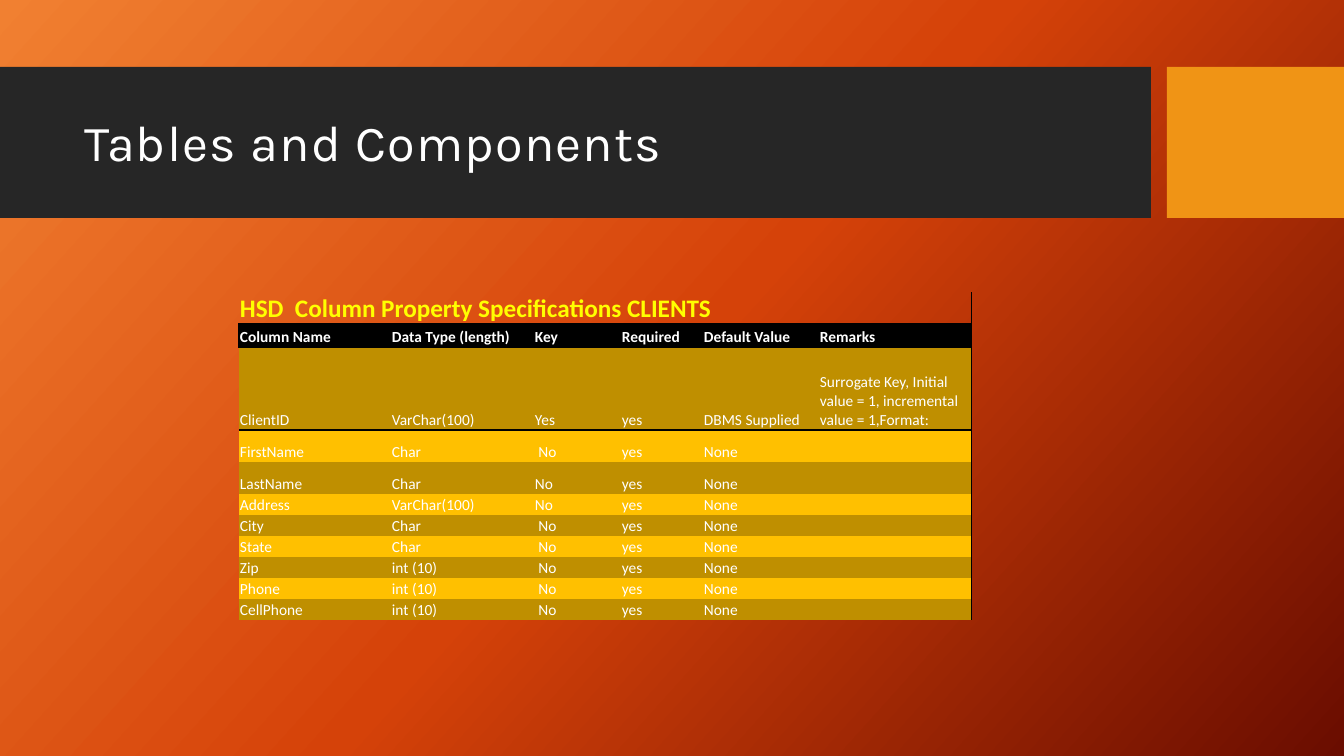
from copy import deepcopy

from lxml import etree
from pptx import Presentation
from pptx.dml.color import RGBColor
from pptx.enum.shapes import MSO_SHAPE
from pptx.enum.text import MSO_ANCHOR
from pptx.oxml.ns import qn
from pptx.util import Emu, Pt

RECTANGLE = MSO_SHAPE.RECTANGLE
MIDDLE, BOTTOM = MSO_ANCHOR.MIDDLE, MSO_ANCHOR.BOTTOM
EMU_PER_PX = 914400 / 100.8
NO_TABLE_STYLE = "{2D5ABB26-0587-4C30-8999-92F81FD0307C}"

COLORS = {
    "glow": "F18031", "flame": "D54209", "ember": "6A0D00",
    "band": "262626", "accent": "F09415", "text": "FFFFFF",
    "caption": "FFFF00", "heading": "000000", "border": "000000",
    "dark_row": "BF8F00", "light_row": "FFC000",
}
COLUMN_WIDTHS = [152, 143, 87, 82, 116, 152]
ROW_HEIGHTS = [32, 23, 83, 32, 32] + [21] * 6
CAPTION = "HSD  Column Property Specifications CLIENTS"
HEADINGS = ["Column Name", "Data Type (length)", "Key", "Required",
            "Default Value", "Remarks"]
CLIENT_FIELDS = [
    ["ClientID", "VarChar(100)", "Yes", "yes", "DBMS Supplied",
     "Surrogate Key, Initial value = 1, incremental value = 1,Format: "],
    ["FirstName", "Char", " No", "yes", "None", ""],
    ["LastName", "Char", "No", "yes", "None", ""],
    ["Address", "VarChar(100)", "No", "yes", "None", ""],
    ["City", "Char", " No", "yes", "None", ""],
    ["State", "Char", " No", "yes", "None", ""],
    ["Zip", "int (10)", " No", "yes", "None", ""],
    ["Phone", "int (10)", " No", "yes", "None", ""],
    ["CellPhone", "int (10)", " No", "yes", "None", ""],
]


def px(length):
    """Turn pixels into EMU."""
    return Emu(round(length * EMU_PER_PX))


def rgb(name):
    """Look up a named colour."""
    return RGBColor.from_string(COLORS[name])


def style_font(paragraph, face, size, color, bold=False):
    """Set the font of a whole paragraph."""
    font = paragraph.font
    font.name, font.size, font.bold = face, Pt(size), bold
    font.color.rgb = rgb(color)


def paint_background(slide):
    """Fill the slide with a diagonal three-colour gradient."""
    fill = slide.background.fill
    fill.gradient()
    fill.gradient_angle = 360 - 42
    stop_list = next(slide.element.iter(qn("a:gsLst")))
    stop_list.append(deepcopy(stop_list[0]))
    names = ["glow", "flame", "ember"]
    for index, (stop, name) in enumerate(zip(fill.gradient_stops, names)):
        stop.position = index / 2
        stop.color.rgb = rgb(name)


def add_block(slide, left, top, width, height, color):
    """Add a plain filled rectangle."""
    block = slide.shapes.add_shape(
        RECTANGLE, px(left), px(top), px(width), px(height))
    block.shadow.inherit = False
    block.fill.solid()
    block.fill.fore_color.rgb = rgb(color)
    block.line.fill.background()


def add_header(slide, left, top, width, height, title):
    """Add the title band with its accent block at the right."""
    accent_width, gap = 177, 16
    band_width = width - accent_width - gap
    add_block(slide, left, top, band_width, height, "band")
    add_block(slide, left + width - accent_width, top, accent_width, height,
              "accent")
    heading = slide.shapes.add_textbox(
        px(left + 75), px(top + 15), px(band_width - 91), px(119))
    frame = heading.text_frame
    frame.word_wrap = True
    frame.vertical_anchor = MIDDLE
    paragraph = frame.paragraphs[0]
    paragraph.text = title
    style_font(paragraph, "Karla", 36, "text")
    paragraph.runs[0]._r.get_or_add_rPr().set("spc", "90")


def set_borders(cell, widths):
    """Draw cell borders, given as side letter and width in points."""
    properties = cell._tc.get_or_add_tcPr()
    for side in "LRTB":
        if side in widths:
            line = etree.SubElement(properties, qn(f"a:ln{side}"),
                                    w=str(Pt(widths[side])))
            fill = etree.SubElement(line, qn("a:solidFill"))
            etree.SubElement(fill, qn("a:srgbClr"), val=COLORS["border"])


def fill_cell(cell, text, size, color, bold, fill, borders):
    """Write and style one table cell."""
    cell.margin_left = cell.margin_right = cell.margin_top = px(1)
    cell.margin_bottom = 0
    cell.vertical_anchor = BOTTOM
    paragraph = cell.text_frame.paragraphs[0]
    paragraph.text = text
    style_font(paragraph, "Calibri", size, color, bold)
    if not text:
        etree.SubElement(paragraph._p, qn("a:endParaRPr"), sz=str(size * 100))
    set_borders(cell, borders)
    if fill:
        cell.fill.solid()
        cell.fill.fore_color.rgb = rgb(fill)
    else:
        cell.fill.background()


def add_clients_table(slide, left, top):
    """Add the column specifications of the CLIENTS table."""
    frame = slide.shapes.add_table(
        len(ROW_HEIGHTS), len(COLUMN_WIDTHS), px(left), px(top),
        px(sum(COLUMN_WIDTHS)), px(sum(ROW_HEIGHTS)))
    clients = frame.table
    clients.first_row = clients.horz_banding = False
    next(frame._element.iter(qn("a:tableStyleId"))).text = NO_TABLE_STYLE
    for column, width in zip(clients.columns, COLUMN_WIDTHS):
        column.width = px(width)
    for row, height in zip(clients.rows, ROW_HEIGHTS):
        row.height = px(height)

    last = len(COLUMN_WIDTHS) - 1
    for c in range(last + 1):
        fill_cell(clients.cell(0, c), CAPTION if c == 0 else "", 18, "caption",
                  True, None, {"R": 0.5, "B": 1} if c in (0, last) else {"B": 1})
    clients.cell(0, 0).merge(clients.cell(0, last))

    for c, heading in enumerate(HEADINGS):
        fill_cell(clients.cell(1, c), heading, 11, "text", True, "heading",
                  {"L": 0.5 if c else 1, "R": 0.5, "T": 1, "B": 1})

    for r, field in enumerate(CLIENT_FIELDS):
        row_fill = "light_row" if r % 2 else "dark_row"
        for c, value in enumerate(field):
            borders = {"R": 0.5} if c == last else {}
            if r == 0:
                borders["T"] = 1
            fill_cell(clients.cell(r + 2, c), value, 11, "text", False,
                      row_fill, borders)


def main():
    """Build and save the slide."""
    deck = Presentation()
    deck.slide_width, deck.slide_height = px(1344), px(756)
    slide = deck.slides.add_slide(deck.slide_layouts[6])
    paint_background(slide)
    add_header(slide, 0, 67, 1344, 151, "Tables and Components")
    add_clients_table(slide, 239, 292)
    deck.save("out.pptx")


main()
